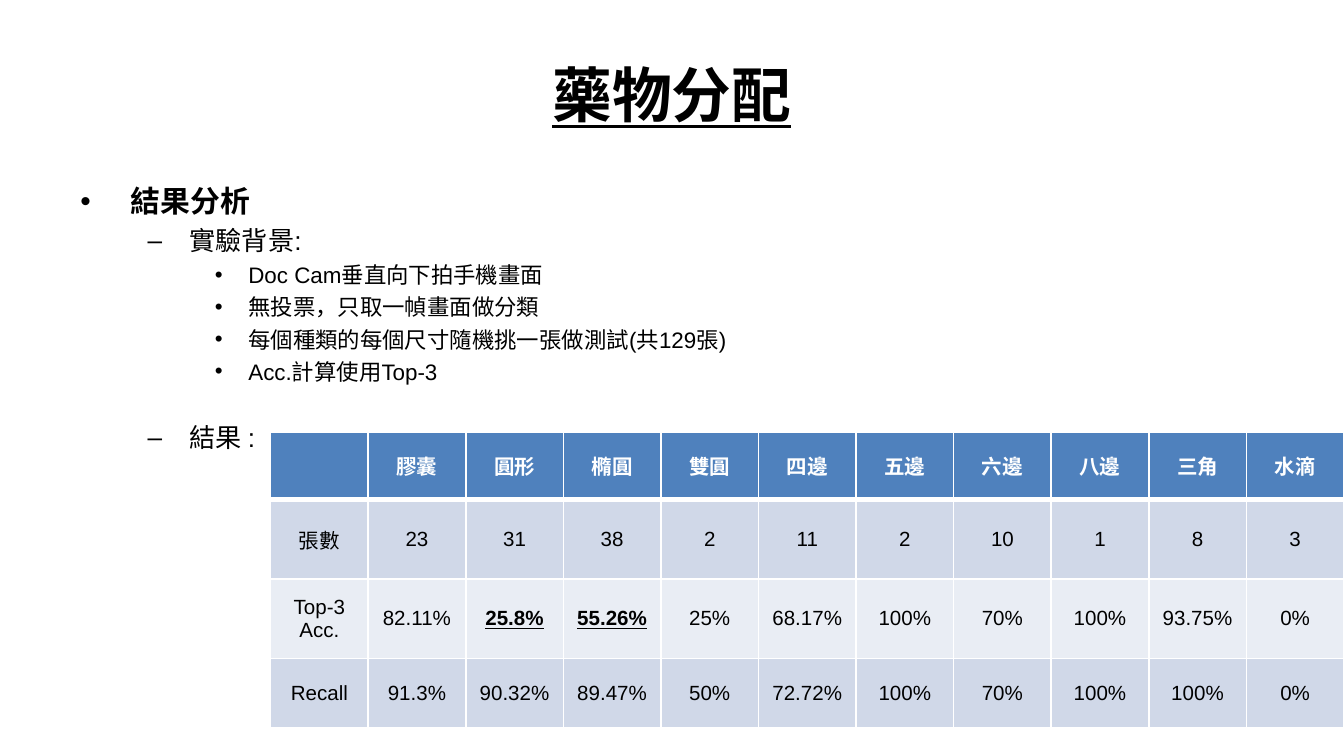
from dataclasses import dataclass

from lxml.etree import SubElement
from pptx import Presentation
from pptx.dml.color import RGBColor as Rgb
from pptx.enum.text import MSO_ANCHOR as Anchor, PP_ALIGN as Align
from pptx.oxml.ns import qn
from pptx.util import Pt


@dataclass(frozen=True)
class Theme:
    font: str = "Arial"
    ink: str = "000000"
    white: str = "FFFFFF"
    head: str = "4F81BD"
    bands: tuple = ("D0D8E8", "E9EDF4")
    title: int = 32
    levels: tuple = (16, 14, 12)
    cell: int = 11


THEME = Theme()

# Mark, text indent and hang of each outline level
MARKS = (("•", 27, 27), ("–", 58.5, 22.5), ("•", 90, 18))

# Level, text and extra space before
POINTS = (
    (0, "結果分析", 0),
    (1, "實驗背景:", 0),
    (2, "Doc Cam垂直向下拍手機畫面", 0),
    (2, "無投票，只取一幀畫面做分類", 0),
    (2, "每個種類的每個尺寸隨機挑一張做測試(共129張)", 0),
    (2, "Acc.計算使用Top-3", 0),
    (1, "結果 :", 16.5),
)

ROWS = (
    ("", "膠囊", "圓形", "橢圓", "雙圓", "四邊", "五邊", "六邊", "八邊", "三角", "水滴"),
    ("張數", "23", "31", "38", "2", "11", "2", "10", "1", "8", "3"),
    ("Top-3 Acc.", "82.11%", "25.8%", "55.26%", "25%", "68.17%",
     "100%", "70%", "100%", "93.75%", "0%"),
    ("Recall", "91.3%", "90.32%", "89.47%", "50%", "72.72%",
     "100%", "70%", "100%", "100%", "0%"),
)
HEIGHTS = (36.5, 42.5, 42.5, 37)
WEAK = {"25.8%", "55.26%"}


def write(para, text, size, color=THEME.ink, bold=False, line=False,
          align=Align.LEFT, before=0):
    para.alignment = align
    para.space_before = Pt(before)
    run = para.add_run()
    run.text = text
    font = run.font
    font.name, font.size = THEME.font, Pt(size)
    font.bold, font.underline = bold, line
    font.color.rgb = Rgb.from_string(color)


def add_box(slide, box, anchor=Anchor.TOP):
    frame = slide.shapes.add_textbox(*map(Pt, box)).text_frame
    frame.word_wrap = True
    frame.vertical_anchor = anchor
    return frame


def add_title(slide, box, text):
    frame = add_box(slide, box, Anchor.MIDDLE)
    write(frame.paragraphs[0], text, THEME.title, bold=True, line=True,
          align=Align.CENTER)


def set_mark(para, level):
    mark, indent, hang = MARKS[level]
    para.level = level
    props = para._p.get_or_add_pPr()
    props.set("marL", str(Pt(indent)))
    props.set("indent", str(-Pt(hang)))
    SubElement(props, qn("a:buFont"), typeface=THEME.font)
    SubElement(props, qn("a:buChar"), char=mark)


def add_points(slide, box, points):
    frame = add_box(slide, box)
    for i, (level, text, gap) in enumerate(points):
        para = frame.add_paragraph() if i else frame.paragraphs[0]
        set_mark(para, level)
        size = THEME.levels[level]
        write(para, text, size, bold=level == 0,
              before=round(size * 0.23 + gap, 1) if i else 0)


def set_edges(cell, top, bottom):
    props = cell._tc.get_or_add_tcPr()
    for side, width in (("L", 1), ("R", 1), ("T", top), ("B", bottom)):
        edge = SubElement(props, qn(f"a:ln{side}"), w=str(Pt(width)))
        fill = SubElement(edge, qn("a:solidFill"))
        SubElement(fill, qn("a:srgbClr"), val=THEME.white)


def add_grid(slide, box, rows, heights):
    count = len(rows[0])
    grid = slide.shapes.add_table(len(rows), count, *map(Pt, box)).table
    for col in grid.columns:
        col.width = Pt(box[2] / count)
    for r, (row, height) in enumerate(zip(rows, heights)):
        grid.rows[r].height = Pt(height)
        head = r == 0
        shade = THEME.head if head else THEME.bands[(r - 1) % 2]
        for c, text in enumerate(row):
            cell = grid.cell(r, c)
            set_edges(cell, top=3 if r == 1 else 1, bottom=3 if head else 1)
            cell.fill.solid()
            cell.fill.fore_color.rgb = Rgb.from_string(shade)
            cell.vertical_anchor = Anchor.MIDDLE
            if text:
                weak = text in WEAK
                write(cell.text_frame.paragraphs[0], text, THEME.cell,
                      color=THEME.white if head else THEME.ink,
                      bold=head or weak, line=weak, align=Align.CENTER)


def main():
    deck = Presentation()
    deck.slide_width, deck.slide_height = Pt(720), Pt(405)
    slide = deck.slides.add_slide(deck.slide_layouts[6])
    add_title(slide, (36, 16.5, 648, 67.5), "藥物分配")
    add_points(slide, (36, 94.5, 648, 302.5), POINTS)
    add_grid(slide, (145, 231.3, 575, sum(HEIGHTS)), ROWS, HEIGHTS)
    deck.save("out.pptx")


if __name__ == "__main__":
    main()
